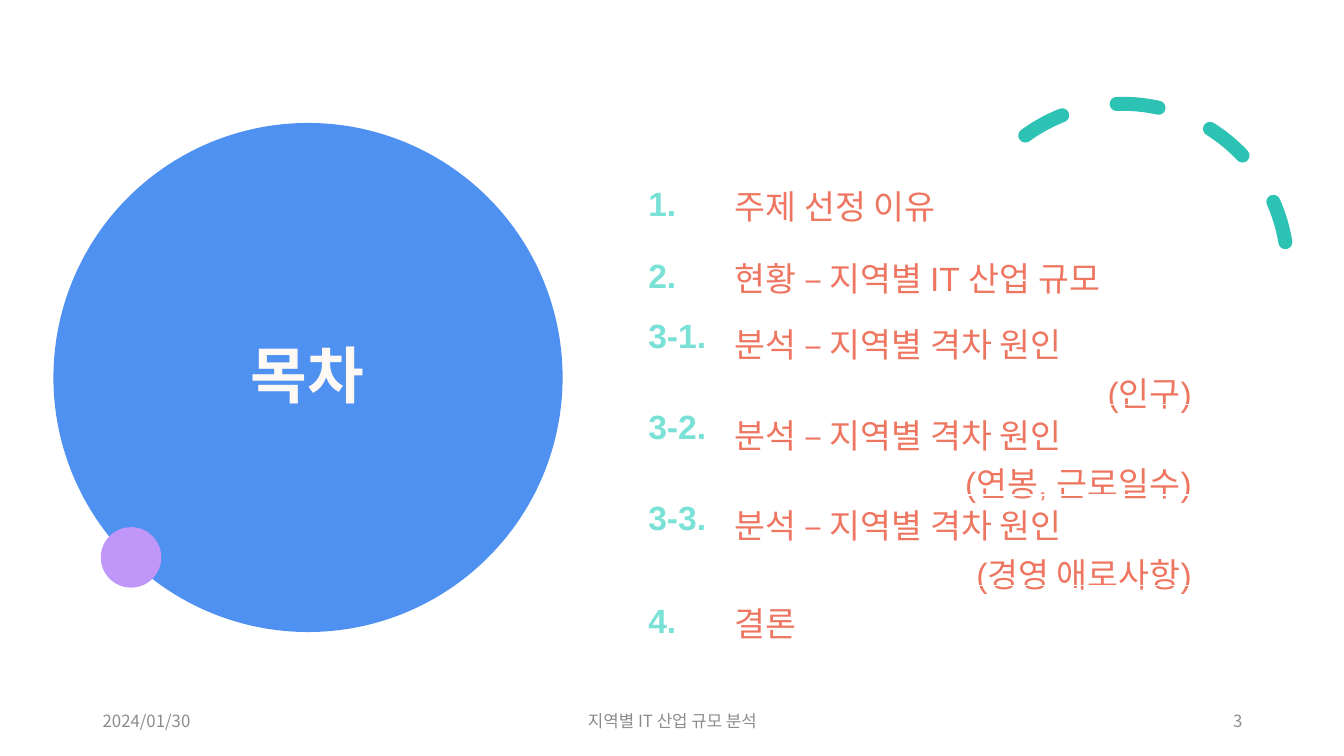
from pptx import Presentation
from pptx.dml.color import RGBColor as RGB
from pptx.enum.dml import MSO_LINE
from pptx.enum.shapes import MSO_SHAPE as SHAPE
from pptx.enum.text import MSO_ANCHOR as ANCHOR, PP_ALIGN as ALIGN
from pptx.oxml.ns import qn
from pptx.util import Pt
from lxml.etree import SubElement

PX = 9144  # 100 px to the inch
NOTO = "Noto Sans CJK KR"
COLORS = {"blue": "4E91F0", "teal": "2CC3B4", "mint": "7AE1D7",
          "violet": "C097F8", "coral": "EE7661", "cream": "FFF9F5",
          "gray": "8C8C8C"}


def color(name):
    return RGB.from_string(COLORS[name])


def write(frame, text, size=24, tint="coral", font="Arial", bold=False,
          align=ALIGN.LEFT, anchor=ANCHOR.MIDDLE, new=False, space=None, track=None):
    frame.word_wrap = True
    frame.vertical_anchor = anchor
    para = frame.add_paragraph() if new else frame.paragraphs[0]
    para.alignment = align
    if space:
        para.line_spacing = space
    run = para.add_run()
    run.text = text
    run.font.size, run.font.bold, run.font.name = Pt(size), bold, font
    run.font.color.rgb = color(tint)
    props = run.font._element
    SubElement(props, qn("a:ea")).set("typeface", NOTO)
    if track:
        props.set("spc", str(track))


deck = Presentation()
deck.slide_width, deck.slide_height = 1333 * PX, 750 * PX
slide = deck.slides.add_slide(deck.slide_layouts[6])
shapes = slide.shapes

# Large circle, dashed arc and small dot
for kind, x, y, side, tint in [(SHAPE.OVAL, 53, 122, 505, "blue"),
                               (SHAPE.ARC, 950, 103, 327, "teal"),
                               (SHAPE.OVAL, 100, 523, 60, "violet")]:
    shape = shapes.add_shape(kind, x * PX, y * PX, side * PX, side * PX)
    shape.shadow.inherit = False
    if kind == SHAPE.OVAL:
        shape.fill.solid()
        shape.fill.fore_color.rgb = color(tint)
        shape.line.fill.background()
    else:
        shape.fill.background()
        shape.rotation = 330.2
        shape.adjustments[0], shape.adjustments[1] = 158.17, 17.81
        shape.line.color.rgb = color(tint)
        shape.line.width = Pt(10)
        shape.line.dash_style = MSO_LINE.DASH
        shape.line._get_or_add_ln().set("cap", "rnd")

# Title
title = shapes.add_textbox(128 * PX, 153 * PX, 354 * PX, 445 * PX)
write(title.text_frame, "목차", size=44, tint="cream", font=NOTO, bold=True,
      align=ALIGN.CENTER, space=0.9, track=50)

# Contents: number, topic, detail
cause = "분석 – 지역별 격차 원인"
items = [("1.", "주제 선정 이유", ""),
         ("2.", "현황 – 지역별 IT 산업 규모", ""),
         ("3-1.", cause, "(인구)"),
         ("3-2.", cause, "(연봉, 근로일수)"),
         ("3-3.", cause, "(경영 애로사항)"),
         ("4.", "결론", "")]
table = shapes.add_table(len(items), 2, 633 * PX, 167 * PX,
                         559 * PX, 72 * len(items) * PX).table
table.first_row = table.horz_banding = False
table.columns[0].width, table.columns[1].width = 86 * PX, 473 * PX
for row, (num, topic, detail) in enumerate(items):
    left, right = table.cell(row, 0), table.cell(row, 1)
    for cell in (left, right):
        cell.fill.background()
        cell.vertical_anchor = ANCHOR.MIDDLE
    if detail:
        left.vertical_anchor = ANCHOR.TOP
    write(left.text_frame, num, tint="mint", bold=True, anchor=left.vertical_anchor)
    write(right.text_frame, topic)
    if detail:
        write(right.text_frame, detail, align=ALIGN.RIGHT, new=True)

# Footer
for x, wide, text, align in [(92, 300, "2024/01/30", ALIGN.LEFT),
                             (442, 450, "지역별 IT 산업 규모 분석", ALIGN.CENTER),
                             (942, 300, "3", ALIGN.RIGHT)]:
    box = shapes.add_textbox(x * PX, 695 * PX, wide * PX, 40 * PX)
    write(box.text_frame, text, size=12, tint="gray", font=NOTO, align=align)

deck.save("out.pptx")
